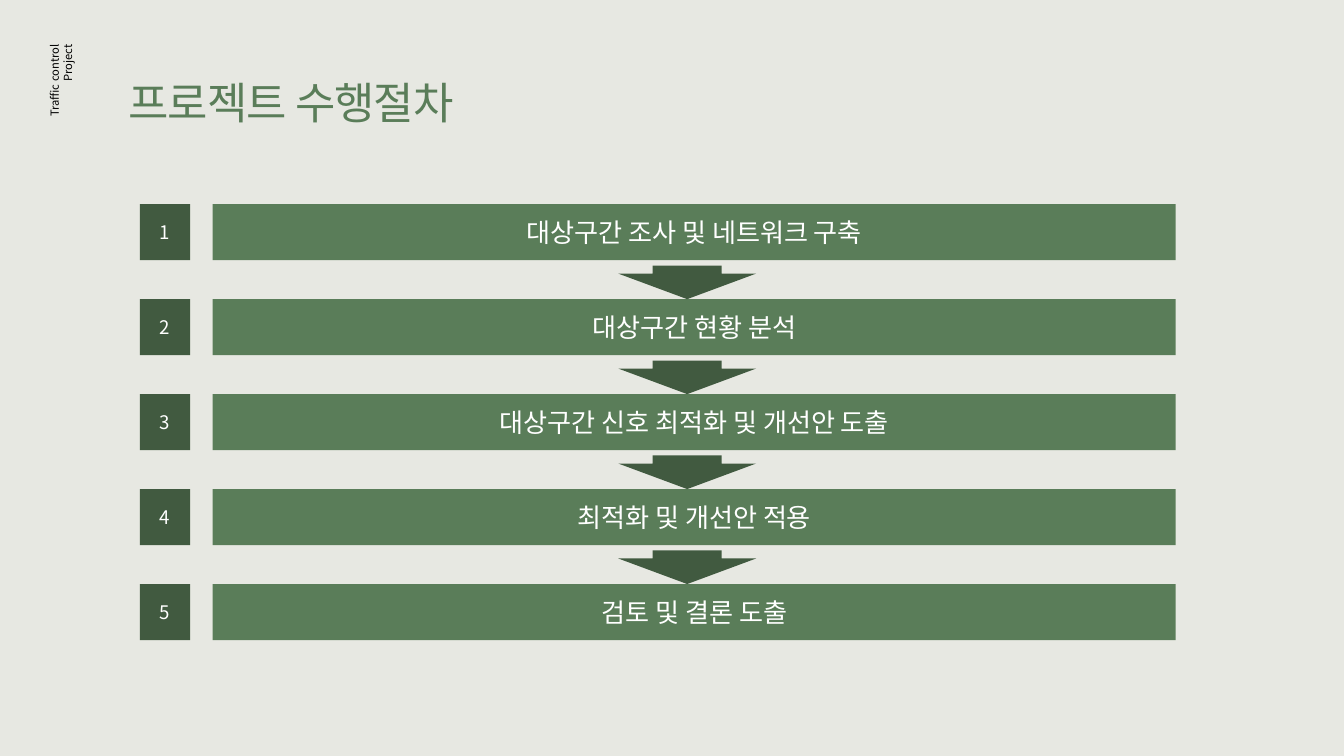
"""Build the project procedure slide: five numbered steps joined by arrows."""
from dataclasses import dataclass

from lxml import etree
from pptx import Presentation
from pptx.dml.color import RGBColor
from pptx.enum.shapes import MSO_SHAPE
from pptx.enum.text import MSO_ANCHOR, MSO_AUTO_SIZE, PP_ALIGN
from pptx.oxml.ns import qn
from pptx.util import Cm, Pt

RECTANGLE = MSO_SHAPE.RECTANGLE
DOWN_ARROW = MSO_SHAPE.DOWN_ARROW
MIDDLE = MSO_ANCHOR.MIDDLE
GROW = MSO_AUTO_SIZE.SHAPE_TO_FIT_TEXT
LEFT, CENTER, RIGHT = PP_ALIGN.LEFT, PP_ALIGN.CENTER, PP_ALIGN.RIGHT


@dataclass(frozen=True)
class Theme:
    font: str = "Noto Sans CJK KR"
    background: str = "E7E8E2"
    green: str = "5A7D59"
    dark_green: str = "415A40"
    black: str = "000000"
    white: str = "FFFFFF"
    title_size: int = 47
    step_size: int = 28
    number_size: int = 20
    side_size: int = 12


THEME = Theme()
STEPS = [
    "대상구간 조사 및 네트워크 구축",
    "대상구간 현황 분석",
    "대상구간 신호 최적화 및 개선안 도출",
    "최적화 및 개선안 적용",
    "검토 및 결론 도출",
]
FIRST_TOP, ROW_PITCH, ROW_HEIGHT = 7.72, 3.59, 2.12
NUMBER_LEFT, NUMBER_WIDTH = 5.29, 1.9
BAR_LEFT, BAR_WIDTH = 8.04, 36.4
ARROW_LEFT, ARROW_WIDTH, ARROW_HEIGHT = 23.37, 5.21, 1.27


def write_lines(text_frame, lines, size, color, alignment, spacing=0):
    """Write each line as one styled paragraph."""
    text_frame.word_wrap = True
    for index, line in enumerate(lines):
        paragraph = text_frame.add_paragraph() if index else text_frame.paragraphs[0]
        paragraph.alignment = alignment
        run = paragraph.add_run()
        run.text = line
        run.font.name = THEME.font
        run.font.size = Pt(size)
        run.font.color.rgb = RGBColor.from_string(color)
        properties = run.font._element
        etree.SubElement(properties, qn("a:ea")).set("typeface", THEME.font)
        if spacing:
            properties.set("spc", str(spacing * 100))


def add_text(slide, box, lines, size, color, alignment, spacing=0, rotation=0):
    """Add a text box that grows with its lines."""
    shape = slide.shapes.add_textbox(*map(Cm, box))
    shape.rotation = rotation
    write_lines(shape.text_frame, lines, size, color, alignment, spacing)
    shape.text_frame.auto_size = GROW


def add_filled_shape(slide, kind, box, fill):
    """Add a flat filled shape without an outline."""
    shape = slide.shapes.add_shape(kind, *map(Cm, box))
    shape.shadow.inherit = False
    shape.fill.solid()
    shape.fill.fore_color.rgb = RGBColor.from_string(fill)
    shape.line.fill.background()
    return shape


def add_label(slide, box, fill, text, size):
    """Add a filled rectangle with centred white text."""
    shape = add_filled_shape(slide, RECTANGLE, box, fill)
    shape.text_frame.vertical_anchor = MIDDLE
    write_lines(shape.text_frame, [text], size, THEME.white, CENTER)


def add_step(slide, number, text, top):
    """Add a step's number square and its wide bar."""
    number_box = (NUMBER_LEFT, top, NUMBER_WIDTH, ROW_HEIGHT)
    bar_box = (BAR_LEFT, top, BAR_WIDTH, ROW_HEIGHT)
    add_label(slide, number_box, THEME.dark_green, str(number), THEME.number_size)
    add_label(slide, bar_box, THEME.green, text, THEME.step_size)


def add_step_arrow(slide, tip):
    """Add a down arrow whose tip touches the next bar."""
    box = (ARROW_LEFT, tip - ARROW_HEIGHT, ARROW_WIDTH, ARROW_HEIGHT)
    arrow = add_filled_shape(slide, DOWN_ARROW, box, THEME.dark_green)
    arrow.adjustments[0] = 0.5
    arrow.adjustments[1] = 0.76


def main():
    """Build and save the slide."""
    presentation = Presentation()
    presentation.slide_width = Cm(50.8)
    presentation.slide_height = Cm(28.58)
    slide = presentation.slides.add_slide(presentation.slide_layouts[6])
    slide.background.fill.solid()
    slide.background.fill.fore_color.rgb = RGBColor.from_string(THEME.background)

    add_text(slide, (4.6, 2.72, 22.94, 2.26), ["프로젝트 수행절차"],
             THEME.title_size, THEME.green, LEFT, spacing=-1)
    add_text(slide, (-0.84, 3.94, 6.3, 1.27), ["Traffic control", "Project"],
             THEME.side_size, THEME.black, RIGHT, rotation=270)

    tops = [FIRST_TOP + index * ROW_PITCH for index in range(len(STEPS))]
    for number, (text, top) in enumerate(zip(STEPS, tops), start=1):
        add_step(slide, number, text, top)
    for tip in tops[1:]:
        add_step_arrow(slide, tip)

    presentation.save("out.pptx")


if __name__ == "__main__":
    main()
